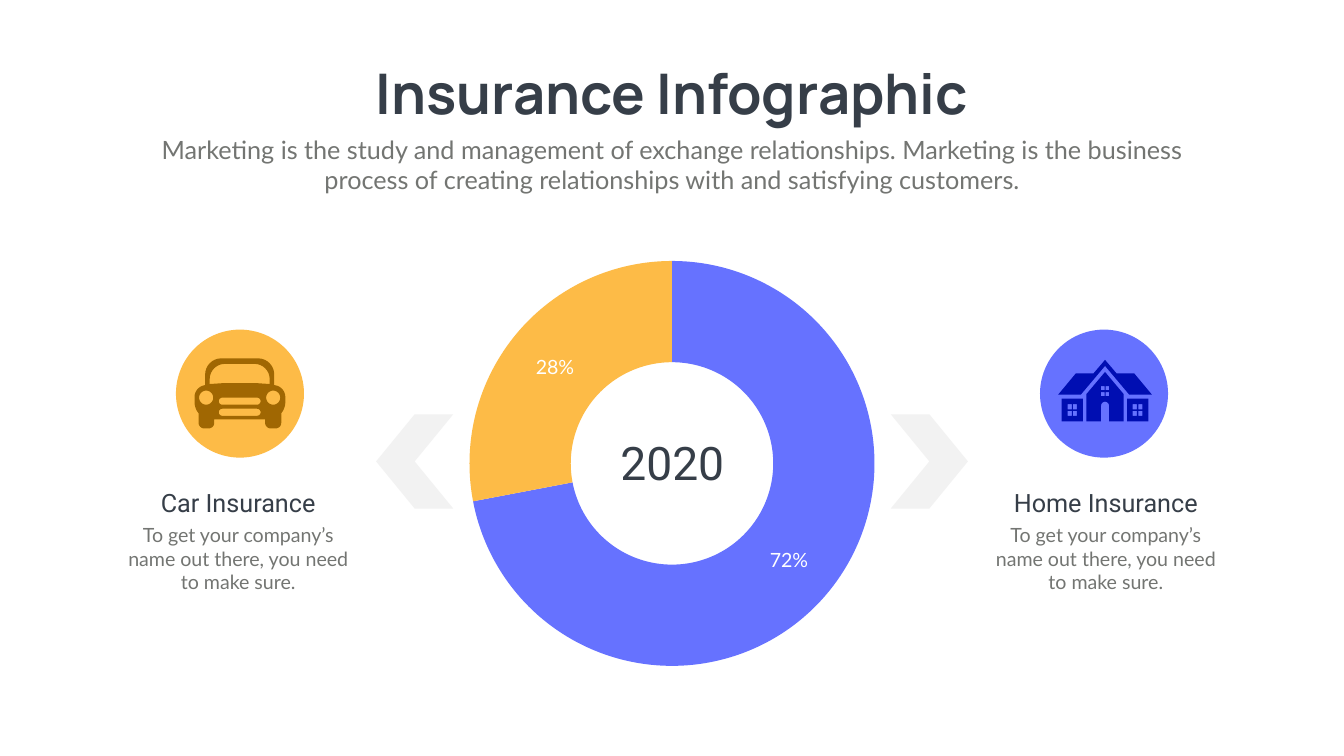
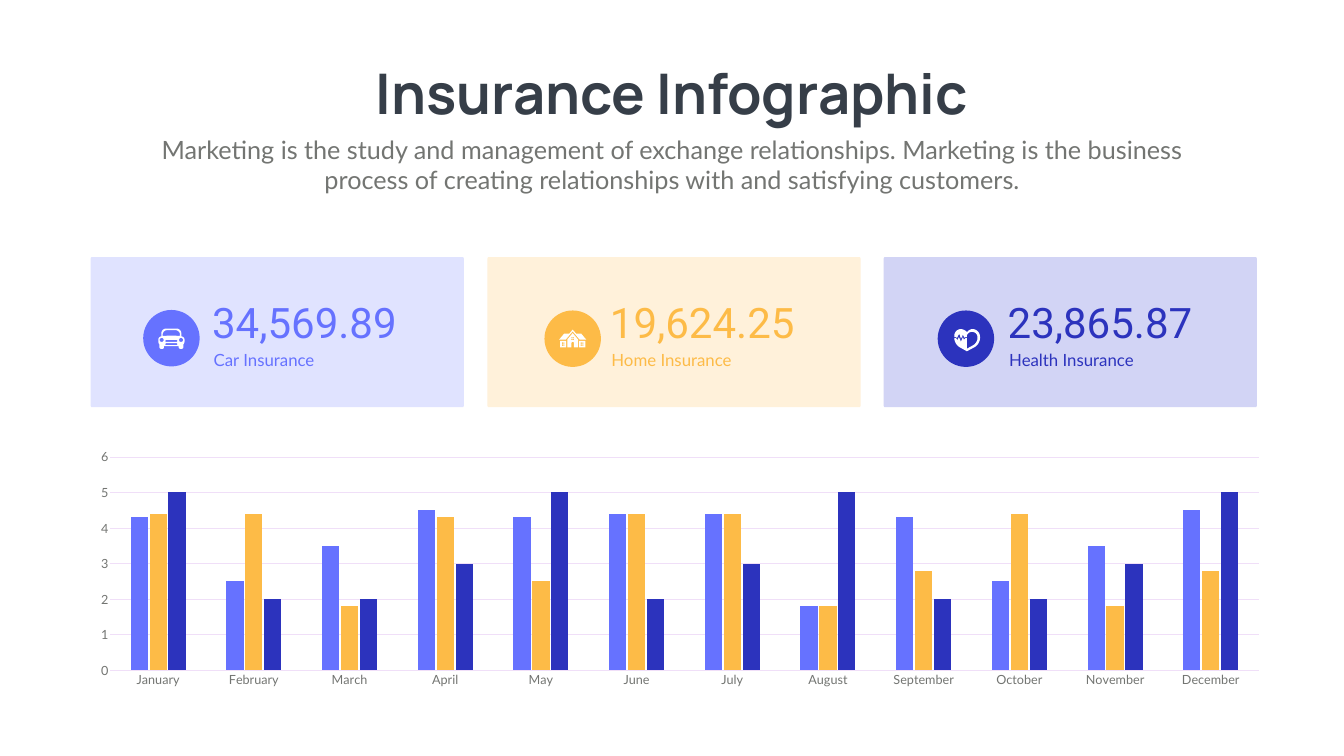
from dataclasses import dataclass
from math import hypot

from lxml.etree import SubElement
from pptx import Presentation
from pptx.chart.chart import Chart
from pptx.chart.data import CategoryChartData
from pptx.dml.color import RGBColor
from pptx.enum.chart import XL_CHART_TYPE, XL_TICK_MARK
from pptx.enum.shapes import MSO_SHAPE
from pptx.enum.text import MSO_ANCHOR, MSO_AUTO_SIZE, PP_ALIGN
from pptx.oxml.ns import qn
from pptx.presentation import Presentation as Deck
from pptx.shapes.autoshape import Shape
from pptx.slide import Slide
from pptx.util import Emu, Pt

PX = 9144  # one px is a hundredth of an inch


# Theme
@dataclass(frozen=True)
class Theme:
    ink: str = "363E48"
    gray: str = "737572"
    white: str = "FFFFFF"
    blue: str = "6672FF"
    amber: str = "FDBB47"
    indigo: str = "2C33BD"
    deep_amber: str = "A06702"
    deep_blue: str = "000EB2"
    pale_blue: str = "E0E3FF"
    pale_amber: str = "FFF1DA"
    pale_indigo: str = "D2D4F5"
    chevron: str = "F2F2F2"
    grid: str = "F0DFF8"
    title_font: str = "Manrope"
    head_font: str = "Roboto"
    body_font: str = "Lato"
    title_size: int = 80
    year_size: int = 66
    figure_size: int = 60
    head_size: int = 36
    body_size: int = 28
    label_size: int = 24
    axis_size: int = 18


THEME = Theme()


@dataclass(frozen=True)
class Box:
    left: int
    top: int
    width: int
    height: int

    def emu(self) -> tuple[Emu, Emu, Emu, Emu]:
        return tuple(Emu(side * PX) for side in (self.left, self.top, self.width, self.height))


@dataclass(frozen=True)
class TextStyle:
    font: str
    size: int
    color: str
    align: PP_ALIGN = PP_ALIGN.CENTER
    bold: bool = False
    wrap: bool = True


# Icon outlines: each contour is a list of corners (x, y) or (x, y, radius)
Corner = tuple[int, ...]
Contour = list[Corner]


def round_box(left: int, top: int, width: int, height: int, radius: int = 0) -> Contour:
    right, bottom = left + width, top + height
    return [(x, y, radius) for x, y in ((left, top), (right, top), (right, bottom), (left, bottom))]


def panes(lefts: tuple[int, int], tops: tuple[int, int], width: int, height: int) -> list[Contour]:
    return [round_box(x, y, width, height) for x in lefts for y in tops]


@dataclass(frozen=True)
class Icon:
    width: int
    contours: list[Contour]


CAR = Icon(180, [
    [(0, 58, 18), (21, 53), (21, 0, 32), (158, 0, 32), (158, 53), (180, 58, 18), (180, 98, 10),
     (172, 109), (172, 139, 11), (140, 139, 11), (140, 121), (39, 121), (39, 139, 11),
     (8, 139, 11), (8, 109), (0, 98, 10)],
    [(30, 51), (30, 11, 30), (149, 11, 30), (149, 51), (120, 49), (60, 49)],
    round_box(9, 64, 28, 28, 14), round_box(142, 64, 28, 28, 14),
    round_box(48, 78, 83, 14, 7), round_box(48, 100, 83, 14, 7),
])
HOUSE = Icon(186, [
    [(70, 27), (35, 27), (0, 69), (45, 69), (93, 12), (141, 69), (186, 69), (151, 27),
     (116, 27), (93, 0)],
    [(130, 122), (130, 68), (93, 24), (56, 68), (56, 122), (85, 122), (85, 83, 8),
     (101, 83, 8), (101, 122)],
    round_box(7, 77, 42, 45), round_box(137, 77, 42, 45),
    *panes((19, 29), (88, 101), 8, 10), *panes((148, 159), (88, 101), 8, 10),
    *panes((85, 94), (52, 64), 7, 8),
])
HEART = Icon(51, [
    [(25, 5), (19, -1, 6), (0, -1, 13), (0, 15), (4, 15), (5, 17), (8, 11), (10, 9), (11, 11),
     (13, 18), (16, 13), (17, 10), (18, 12), (20, 16), (22, 15), (25, 15), (25, 11),
     (29, 5, 4), (46, 4, 11), (46, 26, 9), (25, 38), (25, 17), (22, 17), (20, 19), (19, 20),
     (17, 15), (14, 22), (13, 24), (12, 21), (9, 15), (7, 19), (6, 21), (5, 19), (3, 17),
     (0, 17), (0, 29, 12), (25, 43), (51, 29, 12), (51, -1, 15), (31, -1, 5)],
])


def smooth_points(contour: Contour, steps: int = 8) -> list[tuple[float, float]]:
    """Replace every corner that has a radius by a short cubic curve."""
    points = []
    for index, (x, y, *rest) in enumerate(contour):
        radius = rest[0] if rest else 0
        if not radius:
            points.append((x, y))
            continue
        ends = []
        for near_x, near_y, *_ in (contour[index - 1], contour[(index + 1) % len(contour)]):
            ratio = radius / hypot(near_x - x, near_y - y)
            ends.append((x + (near_x - x) * ratio, y + (near_y - y) * ratio))
        for step in range(steps + 1):
            t = step / steps
            start = (1 - t) ** 3 + 3 * (1 - t) ** 2 * t * 0.45
            end = t ** 3 + 3 * (1 - t) * t ** 2 * 0.45
            middle = 1 - start - end
            points.append(tuple(start * a + middle * b + end * c
                                for a, b, c in zip(ends[0], (x, y), ends[1])))
    return points


# Drawing functions
def paint(shape: Shape, color: str) -> Shape:
    shape.shadow.inherit = False
    shape.fill.solid()
    shape.fill.fore_color.rgb = RGBColor.from_string(color)
    shape.line.fill.background()
    return shape


def add_preset(slide: Slide, kind: MSO_SHAPE, box: Box, color: str) -> Shape:
    return paint(slide.shapes.add_shape(kind, *box.emu()), color)


def set_font(font, name: str, size: int, color: str) -> None:
    font.name, font.size = name, Pt(size)
    font.color.rgb = RGBColor.from_string(color)


def write(shape: Shape, text: str, style: TextStyle) -> None:
    frame = shape.text_frame
    frame.text = text
    frame.word_wrap = style.wrap
    frame.auto_size = MSO_AUTO_SIZE.SHAPE_TO_FIT_TEXT
    frame.vertical_anchor = MSO_ANCHOR.TOP
    paragraph = frame.paragraphs[0]
    paragraph.alignment = style.align
    set_font(paragraph.font, style.font, style.size, style.color)
    paragraph.font.bold = style.bold


def add_text(slide: Slide, box: Box, text: str, style: TextStyle) -> None:
    write(slide.shapes.add_textbox(*box.emu()), text, style)


@dataclass(frozen=True)
class Badge:
    left: int
    top: int
    size: int
    color: str
    icon: Icon
    icon_color: str
    icon_left: int
    icon_top: int
    icon_width: int


def add_badge(slide: Slide, badge: Badge) -> None:
    add_preset(slide, MSO_SHAPE.OVAL, Box(badge.left, badge.top, badge.size, badge.size), badge.color)
    scale = badge.icon_width / badge.icon.width
    left, top = badge.left + badge.icon_left, badge.top + badge.icon_top
    outlines = [[((left + x * scale) * PX, (top + y * scale) * PX) for x, y in smooth_points(contour)]
                for contour in badge.icon.contours]
    builder = slide.shapes.build_freeform(*outlines[0][0])
    for number, outline in enumerate(outlines):
        if number:
            builder.move_to(*outline[0])
        builder.add_line_segments(outline[1:], close=True)
    paint(builder.convert_to_shape(), badge.icon_color)


def add_chart(slide: Slide, kind: XL_CHART_TYPE, box: Box, categories: list[str],
              rows: list[list[float]], font_size: int) -> Chart:
    data = CategoryChartData()
    data.categories = categories
    for number, values in enumerate(rows, 1):
        data.add_series(f"Series {number}", values)
    chart = slide.shapes.add_chart(kind, *box.emu(), data).chart
    chart.has_title = chart.has_legend = False
    set_font(chart.font, THEME.body_font, font_size, THEME.gray)
    return chart


def place_plot(chart: Chart, x: float, y: float, width: float, height: float) -> None:
    plot_area = chart._chartSpace.chart.plotArea
    for old in plot_area.findall(qn("c:layout")):
        plot_area.remove(old)
    layout = SubElement(plot_area, qn("c:layout"))
    plot_area.insert(0, layout)
    manual = SubElement(layout, qn("c:manualLayout"))
    settings = {"layoutTarget": "inner", "xMode": "edge", "yMode": "edge",
                "x": x, "y": y, "w": width, "h": height}
    for tag, value in settings.items():
        SubElement(manual, qn(f"c:{tag}")).set("val", str(value))


TITLE = TextStyle(THEME.title_font, THEME.title_size, THEME.ink, bold=True, wrap=False)
INTRO = TextStyle(THEME.body_font, THEME.head_size, THEME.gray)
YEAR = TextStyle(THEME.head_font, THEME.year_size, THEME.ink, wrap=False)
HEAD = TextStyle(THEME.head_font, THEME.head_size, THEME.ink)
BODY = TextStyle(THEME.body_font, THEME.body_size, THEME.gray)


def new_slide(presentation: Deck) -> Slide:
    slide = presentation.slides.add_slide(presentation.slide_layouts[5])
    title = slide.shapes.title
    title.left, title.top, title.width, title.height = Box(682, 112, 1302, 145).emu()
    write(title, "Insurance Infographic", TITLE)
    add_text(slide, Box(292, 261, 2082, 131),
             "Marketing is the study and management of exchange relationships. Marketing is the "
             "business process of creating relationships with and satisfying customers.", INTRO)
    return slide


# Slide 1: share of each insurance
def build_share_slide(presentation: Deck) -> None:
    slide = new_slide(presentation)
    chart = add_chart(slide, XL_CHART_TYPE.DOUGHNUT, Box(710, 504, 1246, 831),
                      ["1", "2"], [[72, 28]], THEME.body_size)
    plot = chart.plots[0]
    for index, color in enumerate((THEME.blue, THEME.amber)):
        point = plot.series[0].points[index].format
        point.fill.solid()
        point.fill.fore_color.rgb = RGBColor.from_string(color)
        point.line.fill.background()
    plot.has_data_labels = True
    labels = plot.data_labels
    labels.show_percentage, labels.show_value = True, False
    labels.number_format, labels.number_format_is_linked = "0%", False
    set_font(labels.font, THEME.body_font, THEME.body_size, THEME.white)

    for left, rotation in ((1767, 0), (746, 180)):
        chevron = add_preset(slide, MSO_SHAPE.CHEVRON, Box(left, 822, 153, 187), THEME.chevron)
        chevron.rotation = rotation
    add_text(slide, Box(1218, 857, 231, 121), "2020", YEAR)

    columns = [
        (235, "Car Insurance", Badge(349, 654, 254, THEME.amber, CAR, THEME.deep_amber, 37, 57, 180)),
        (1956, "Home Insurance", Badge(2063, 654, 254, THEME.blue, HOUSE, THEME.deep_blue, 36, 60, 186)),
    ]
    for left, heading, badge in columns:
        add_badge(slide, badge)
        add_text(slide, Box(left, 1033, 475, 151),
                 "To get your company’s name out there, you need to make sure.", BODY)
        add_text(slide, Box(left, 962, 475, 71), heading, HEAD)


# Slide 2: totals and monthly values
@dataclass(frozen=True)
class Card:
    left: int
    text_left: int
    fill: str
    figure: str
    label: str
    badge: Badge


def build_monthly_slide(presentation: Deck) -> None:
    slide = new_slide(presentation)
    cards = [
        Card(180, 411, THEME.pale_blue, "34,569.89", "Car Insurance",
             Badge(284, 615, 112, THEME.blue, CAR, THEME.white, 30, 37, 52)),
        Card(967, 1200, THEME.pale_amber, "19,624.25", "Home Insurance",
             Badge(1080, 616, 112, THEME.amber, HOUSE, THEME.white, 29, 38, 54)),
        Card(1753, 1989, THEME.pale_indigo, "23,865.87", "Health Insurance",
             Badge(1860, 616, 112, THEME.indigo, HEART, THEME.white, 33, 38, 51)),
    ]
    for card in cards:
        panel = add_preset(slide, MSO_SHAPE.ROUNDED_RECTANGLE, Box(card.left, 510, 740, 298), card.fill)
        panel.adjustments[0] = 0.01
        color = card.badge.color
        add_text(slide, Box(card.text_left, 583, 430, 111), card.figure,
                 TextStyle(THEME.head_font, THEME.figure_size, color, PP_ALIGN.LEFT))
        add_text(slide, Box(card.text_left + 3, 688, 295, 50), card.label,
                 TextStyle(THEME.body_font, THEME.label_size, color, PP_ALIGN.LEFT))
        add_badge(slide, card.badge)

    months = ["January", "February", "March", "April", "May", "June", "July", "August",
              "September", "October", "November", "December"]
    rows = [
        [4.3, 2.5, 3.5, 4.5, 4.3, 4.4, 4.4, 1.8, 4.3, 2.5, 3.5, 4.5],
        [4.4, 4.4, 1.8, 4.3, 2.5, 4.4, 4.4, 1.8, 2.8, 4.4, 1.8, 2.8],
        [5, 2, 2, 3, 5, 2, 3, 5, 2, 2, 3, 5],
    ]
    chart = add_chart(slide, XL_CHART_TYPE.COLUMN_CLUSTERED, Box(95, 808, 2476, 580),
                      months, rows, THEME.axis_size)
    place_plot(chart, 0.05, 0.17, 0.92, 0.73)
    plot = chart.plots[0]
    plot.gap_width, plot.overlap, plot.vary_by_categories = 237, -10, False
    for series, card in zip(plot.series, cards):
        series.format.fill.solid()
        series.format.fill.fore_color.rgb = RGBColor.from_string(card.badge.color)
    for axis in (chart.category_axis, chart.value_axis):
        axis.major_tick_mark = axis.minor_tick_mark = XL_TICK_MARK.NONE
        axis.format.line.fill.background()
        set_font(axis.tick_labels.font, THEME.body_font, THEME.axis_size, THEME.gray)
    value_axis = chart.value_axis
    value_axis.minimum_scale, value_axis.maximum_scale, value_axis.major_unit = 0, 6, 1
    grid_line = value_axis.major_gridlines.format.line
    grid_line.color.rgb = RGBColor.from_string(THEME.grid)
    grid_line.width = Pt(0.75)


def main() -> None:
    presentation = Presentation()
    presentation.slide_width, presentation.slide_height = Emu(2666 * PX), Emu(1500 * PX)
    build_share_slide(presentation)
    build_monthly_slide(presentation)
    presentation.save("out.pptx")


if __name__ == "__main__":
    main()
